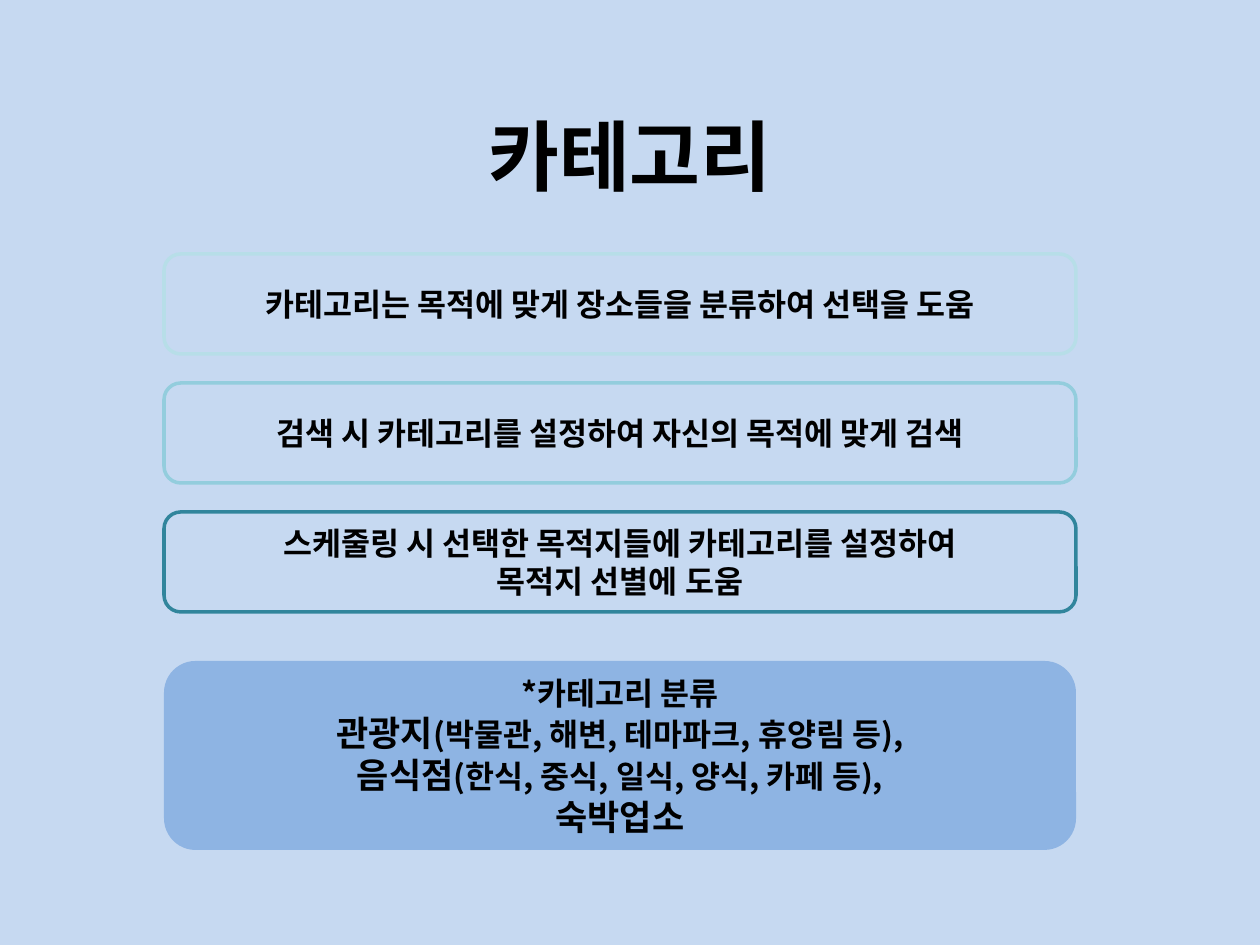
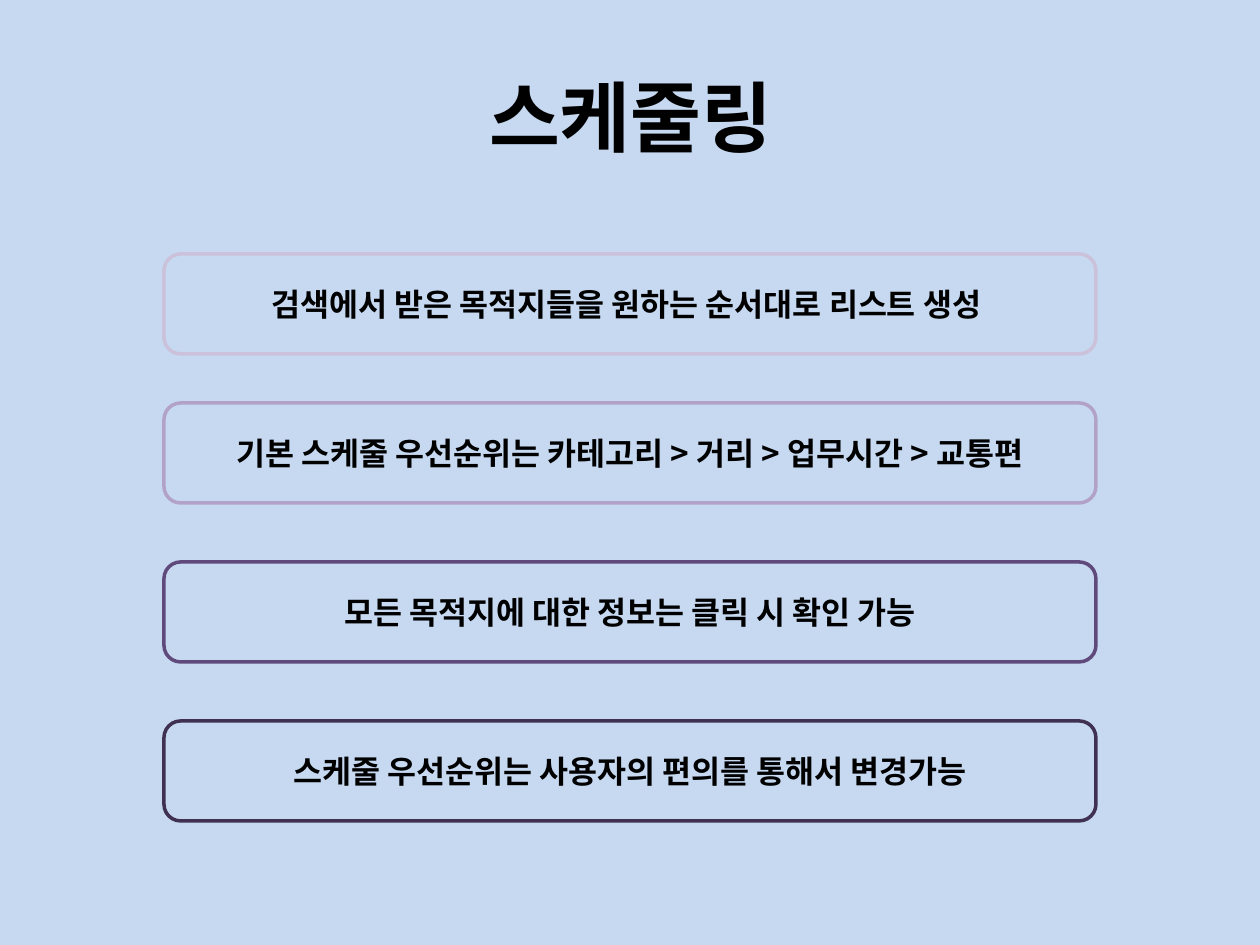
from lxml.etree import SubElement
from pptx import Presentation
from pptx.dml.color import RGBColor
from pptx.enum.shapes import MSO_SHAPE
from pptx.enum.text import MSO_ANCHOR, PP_ALIGN
from pptx.oxml.ns import qn
from pptx.util import Emu, Pt

PX = 914400 / 126
FONT = "Noto Sans CJK KR"
COLORS = {
    "background": "C6D9F1", "text": "000000", "summary": "8EB4E3",
    "teal_1": "B7DEE8", "teal_2": "93CDDD", "teal_3": "31859C",
    "purple_1": "CCC1DA", "purple_2": "B3A2C7", "purple_3": "604A7B", "purple_4": "403152",
}
BOX_LEFT, BOX_HEIGHT = 164, 100

SLIDES = [
    {
        "title": "카테고리", "title_at": (63, 76), "box_width": 912,
        "boxes": [
            (254, "teal_1", ["카테고리는 목적에 맞게 장소들을 분류하여 선택을 도움"]),
            (383, "teal_2", ["검색 시 카테고리를 설정하여 자신의 목적에 맞게 검색"]),
            (512, "teal_3", ["스케줄링 시 선택한 목적지들에 카테고리를 설정하여", "목적지 선별에 도움"]),
        ],
        "summary": [
            "*카테고리 분류",
            [("관광지", 20), ("(박물관, 해변, 테마파크, 휴양림 등),", 18)],
            [("음식점", 20), ("(한식, 중식, 일식, 양식, 카페 등),", 18)],
            [("숙박업소", 20)],
        ],
    },
    {
        "title": "스케줄링", "title_at": (64, 37), "box_width": 932,
        "boxes": [
            (254, "purple_1", ["검색에서 받은 목적지들을 원하는 순서대로 리스트 생성 "]),
            (403, "purple_2", ["기본 스케줄 우선순위는 카테고리 > 거리 > 업무시간 > 교통편"]),
            (562, "purple_3", ["모든 목적지에 대한 정보는 클릭 시 확인 가능"]),
            (721, "purple_4", ["스케줄 우선순위는 사용자의 편의를 통해서 변경가능"]),
        ],
        "summary": None,
    },
]


def write_text(shape, lines, size=18, color="text", align=PP_ALIGN.CENTER):
    """Each line is a string, or a list of (text, size) pairs."""
    frame = shape.text_frame
    frame.word_wrap = True
    frame.vertical_anchor = MSO_ANCHOR.MIDDLE
    for number, line in enumerate(lines):
        paragraph = frame.add_paragraph() if number else frame.paragraphs[0]
        paragraph.alignment = align
        for words, points in [(line, size)] if isinstance(line, str) else line:
            run = paragraph.add_run()
            run.text = words
            run.font.name = FONT
            run.font.size = Pt(points)
            run.font.bold = True
            run.font.color.rgb = RGBColor.from_string(COLORS[color])
            SubElement(run.font._element, qn("a:ea"), typeface=FONT)


def add_box(slide, area, lines, fill=None, outline=None):
    box = slide.shapes.add_shape(MSO_SHAPE.ROUNDED_RECTANGLE, *[Emu(round(n * PX)) for n in area])
    box.shadow.inherit = False
    if fill:
        box.fill.solid()
        box.fill.fore_color.rgb = RGBColor.from_string(COLORS[fill])
    else:
        box.fill.background()
    if outline:
        box.line.color.rgb = RGBColor.from_string(COLORS[outline])
        box.line.width = Pt(2)
    else:
        box.line.fill.background()
    write_text(box, lines)


deck = Presentation()
deck.slide_width, deck.slide_height = Emu(round(1260 * PX)), Emu(round(945 * PX))

for content in SLIDES:
    slide = deck.slides.add_slide(deck.slide_layouts[6])
    slide.background.fill.solid()
    slide.background.fill.fore_color.rgb = RGBColor.from_string(COLORS["background"])

    title_area = (*content["title_at"], 1134, 158)
    title = slide.shapes.add_textbox(*[Emu(round(n * PX)) for n in title_area])
    write_text(title, [content["title"]], size=44)

    width = content["box_width"]
    for top, outline, lines in content["boxes"]:
        add_box(slide, (BOX_LEFT, top, width, BOX_HEIGHT), lines, outline=outline)
    if content["summary"]:
        add_box(slide, (BOX_LEFT, 661, width, 189), content["summary"], fill="summary")

deck.save("out.pptx")
